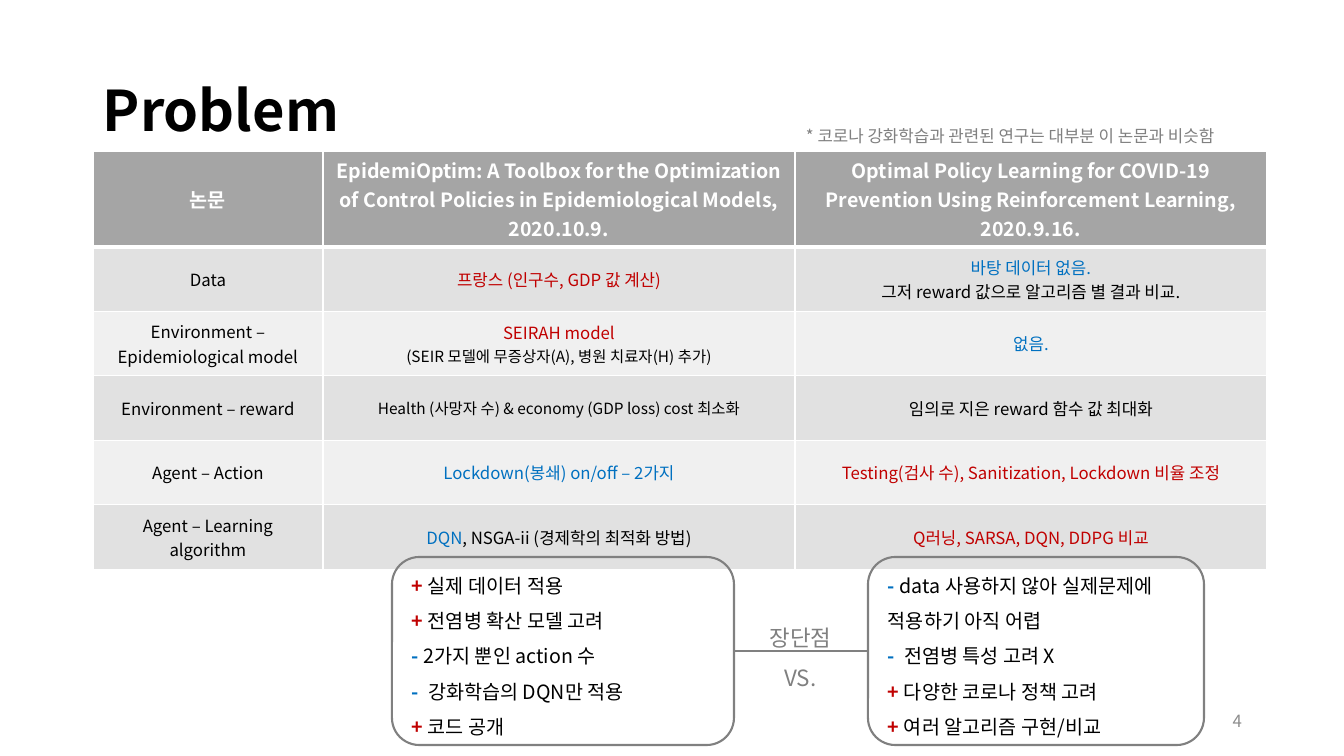
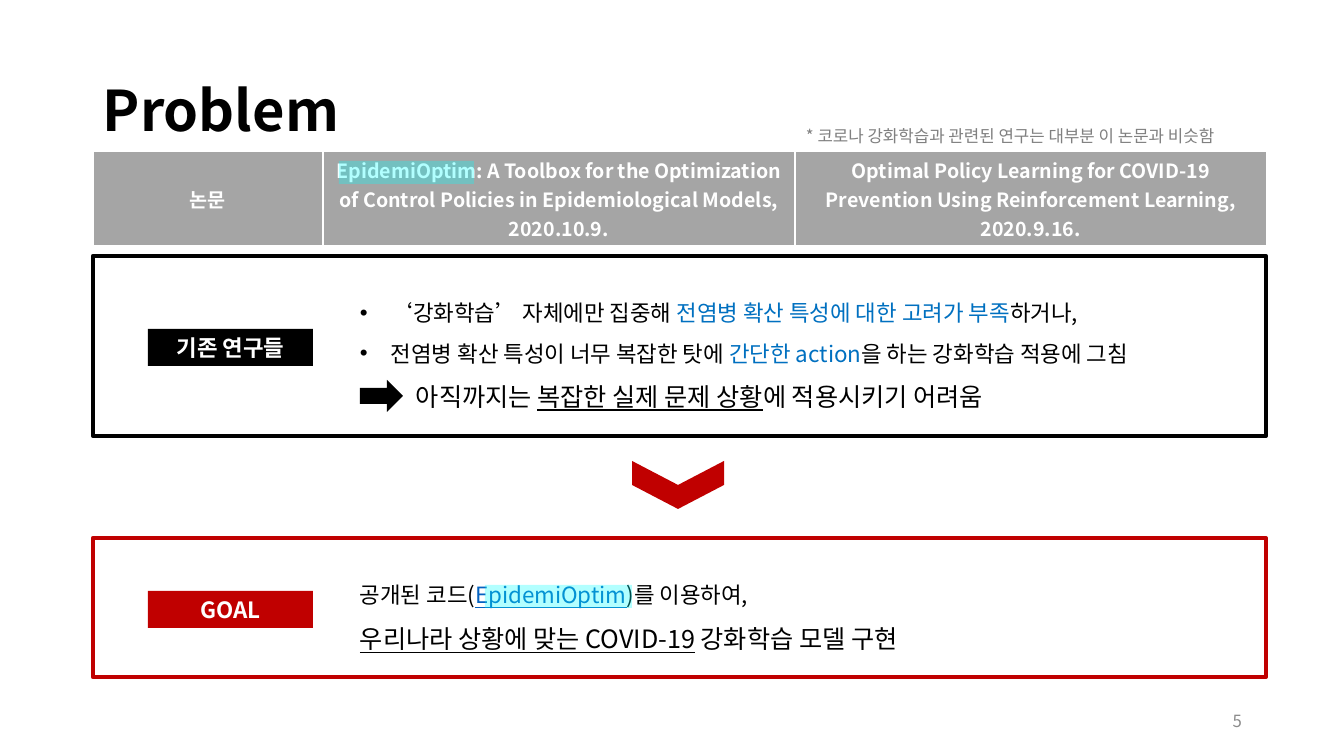
from lxml.etree import SubElement
from pptx import Presentation
from pptx.dml.color import RGBColor
from pptx.enum.shapes import MSO_CONNECTOR, MSO_SHAPE as SHAPE
from pptx.enum.text import MSO_ANCHOR as ANCHOR, MSO_AUTO_SIZE as AUTO, PP_ALIGN as ALIGN
from pptx.oxml import parse_xml
from pptx.oxml.ns import nsdecls, qn
from pptx.util import Pt

SLIDE_W, SLIDE_H = 1344, 756
EMU_PER_PX = 12192000 / SLIDE_W
FONT = "Noto Sans CJK KR"
COLORS = {
    "black": "000000", "white": "FFFFFF", "red": "C00000", "blue": "0070C0",
    "gray": "808080", "page": "8C8C8C", "header": "A5A5A5", "dark_band": "E1E1E1",
    "light_band": "F0F0F0", "link": "0563C1", "marker": "00FFFF",
}
STYLES = {
    "plain": {},
    "red": {"color": "red"},
    "blue": {"color": "blue"},
    "plus": {"color": "red", "bold": True},
    "minus": {"color": "blue", "bold": True},
    "small": {"size": 11},
    "large": {"size": 18},
    "under": {"size": 18, "underline": True},
    "link": {"color": "link", "underline": True},
}

TITLE = "Problem"
REMARK = "* 코로나 강화학습과 관련된 연구는 대부분 이 논문과 비슷함"
PAPERS = (
    "논문",
    "EpidemiOptim: A Toolbox for the Optimization of Control Policies in Epidemiological Models, 2020.10.9.",
    "Optimal Policy Learning for COVID-19 Prevention Using Reinforcement Learning, 2020.9.16.",
)
COMPARISON = [
    ([["Data"]],
     [[("프랑스 (인구수, GDP 값 계산)", "red")]],
     [[("바탕 데이터 없음.", "blue")], ["그저 reward 값으로 알고리즘 별 결과 비교."]]),
    ([["Environment – Epidemiological model"]],
     [[("SEIRAH model", "red")], [("(SEIR 모델에 무증상자(A), 병원 치료자(H) 추가)", "small")]],
     [[("없음.", "blue")]]),
    ([["Environment – reward"]],
     [[("Health (사망자 수) & economy (GDP loss) cost 최소화", "small")]],
     [["임의로 지은 reward 함수 값 최대화"]]),
    ([["Agent – Action"]],
     [[("Lockdown(봉쇄) on/off – 2가지", "blue")]],
     [[("Testing(검사 수), Sanitization, Lockdown 비율 조정", "red")]]),
    ([["Agent – Learning algorithm"]],
     [[("DQN", "blue"), ", NSGA-ii (경제학의 최적화 방법)"]],
     [[("Q러닝, SARSA, DQN, DDPG 비교", "red")]]),
]
VERDICTS = [
    ((392, 557, 342, 188), [
        [("+ ", "plus"), "실제 데이터 적용"],
        [("+ ", "plus"), "전염병 확산 모델 고려"],
        [("-", "minus"), " 2가지 뿐인 action 수"],
        [("-  ", "minus"), "강화학습의 DQN만 적용"],
        [("+ ", "plus"), "코드 공개"],
    ]),
    ((868, 557, 336, 188), [
        [("- ", "minus"), "data 사용하지 않아 실제문제에 적용하기 아직 어렵"],
        [("-  ", "minus"), "전염병 특성 고려 X"],
        [("+ ", "plus"), "다양한 코로나 정책 고려"],
        [("+ ", "plus"), "여러 알고리즘 구현/비교"],
    ]),
]
VERSUS = [["장단점"], ["VS."]]
LIMITS = [
    ["‘강화학습’ 자체에만 집중해 ", ("전염병 확산 특성에 대한 고려가 부족", "blue"), "하거나,"],
    ["전염병 확산 특성이 너무 복잡한 탓에 ", ("간단한 action", "blue"), "을 하는 강화학습 적용에 그침"],
]
CONCLUSION = [[("아직까지는 ", "large"), ("복잡한 실제 문제 상황", "under"), ("에 적용시키기 어려움", "large")]]
GOAL = [
    ["공개된 코드(", ("EpidemiOptim", "link"), ")를 이용하여,"],
    [("우리나라 상황에 맞는 COVID-19", "under"), (" 강화학습 모델 구현", "large")],
]
PANELS = [
    ("기존 연구들", "black", (93, 256, 1173, 180), 329),
    ("GOAL", "red", (93, 538, 1173, 139), 591),
]
MARKERS = [(339, 161, 135, 23), (485, 585, 147, 23)]

COLUMNS = (230, 472, 472)
HEADER_H, ROW_H = 81, 64.5
TABLE_LEFT, TABLE_TOP = 93, 151
VERDICT_INSET = 10


def px(length):
    return round(length * EMU_PER_PX)


def box(*lengths):
    return [px(length) for length in lengths]


def rgb(name):
    return RGBColor.from_string(COLORS[name])


def write(frame, paragraphs, size, color="black", bold=False, align=ALIGN.LEFT, spacing=None, bullet=None):
    frame.word_wrap = True
    for index, runs in enumerate(paragraphs):
        paragraph = frame.paragraphs[0] if index == 0 else frame.add_paragraph()
        paragraph.alignment = align
        if spacing:
            paragraph.line_spacing = spacing
        if bullet:
            props = paragraph._p.get_or_add_pPr()
            props.set("marL", str(px(31)))
            props.set("indent", str(-px(31)))
            SubElement(props, qn("a:buFont"), typeface="Arial")
            SubElement(props, qn("a:buChar"), char=bullet)
        for piece in runs:
            text, style = (piece, "plain") if isinstance(piece, str) else piece
            look = {"size": size, "color": color, "bold": bold, "underline": False, **STYLES[style]}
            run = paragraph.add_run()
            run.text = text
            run.font.color.rgb = rgb(look["color"])
            values = {"name": FONT, "size": Pt(look["size"]), "bold": look["bold"], "underline": look["underline"]}
            for name, value in values.items():
                setattr(run.font, name, value)
            SubElement(run._r.get_or_add_rPr(), qn("a:ea"), typeface=FONT)


def add_text(slide, place, paragraphs, size, anchor=ANCHOR.TOP, grow=True, **look):
    frame = slide.shapes.add_textbox(*box(*place)).text_frame
    frame.auto_size = AUTO.SHAPE_TO_FIT_TEXT if grow else AUTO.NONE
    frame.vertical_anchor = anchor
    write(frame, paragraphs, size, **look)


def add_figure(slide, kind, place, fill=None, line=None, width=1):
    figure = slide.shapes.add_shape(kind, *box(*place))
    figure.shadow.inherit = False
    if fill:
        figure.fill.solid()
        figure.fill.fore_color.rgb = rgb(fill)
    else:
        figure.fill.background()
    if line:
        figure.line.color.rgb = rgb(line)
        figure.line.width = Pt(width)
    else:
        figure.line.fill.background()
    return figure


def style_cell(cell, fill, bottom):
    cell.fill.solid()
    cell.fill.fore_color.rgb = rgb(fill)
    cell.vertical_anchor = ANCHOR.MIDDLE
    for index, (side, points) in enumerate({"L": 1, "R": 1, "T": 1, "B": bottom}.items()):
        cell._tc.get_or_add_tcPr().insert(index, parse_xml(
            f'<a:ln{side} {nsdecls("a")} w="{Pt(points)}"><a:solidFill>'
            f'<a:srgbClr val="{COLORS["white"]}"/></a:solidFill></a:ln{side}>'))


def add_papers(slide, body=()):
    heights = [HEADER_H] + [ROW_H] * len(body)
    place = box(TABLE_LEFT, TABLE_TOP, sum(COLUMNS), sum(heights))
    table = slide.shapes.add_table(len(heights), len(COLUMNS), *place).table
    table.horz_banding = False
    for column, width in zip(table.columns, COLUMNS):
        column.width = px(width)
    for row, height in zip(table.rows, heights):
        row.height = px(height)
    for column, paper in enumerate(PAPERS):
        cell = table.cell(0, column)
        style_cell(cell, "header", 3)
        write(cell.text_frame, [[paper]], 14, "white", True, ALIGN.CENTER)
    for row, entries in enumerate(body, 1):
        for column, paragraphs in enumerate(entries):
            cell = table.cell(row, column)
            style_cell(cell, "dark_band" if row % 2 else "light_band", 1)
            write(cell.text_frame, paragraphs, 12, align=ALIGN.CENTER)


def start_slide(deck, number, body=()):
    slide = deck.slides.add_slide(deck.slide_layouts[6])
    add_text(slide, (93, 40, 1159, 146), [[TITLE]], 40, ANCHOR.MIDDLE, False, bold=True, spacing=0.9)
    add_papers(slide, body)
    add_text(slide, (796, 121, 527, 30), [[REMARK]], 12, color="gray")
    add_text(slide, (950, 701, 302, 40), [[str(number)]], 12, ANCHOR.MIDDLE, False,
             color="page", align=ALIGN.RIGHT)
    return slide


def build_comparison(deck):
    slide = start_slide(deck, 4, COMPARISON)
    frames = []
    for (left, top, width, height), points in VERDICTS:
        frame = add_figure(slide, SHAPE.ROUNDED_RECTANGLE, (left, top, width, height), line="gray", width=1.5)
        frame.adjustments[0] = 0.145
        frames.append(frame)
        inner = (left + VERDICT_INSET, top, width - 2 * VERDICT_INSET, height)
        add_text(slide, inner, points, 14, spacing=1.5)
    add_text(slide, (748, 605, 105, 92), VERSUS, 16, ANCHOR.MIDDLE,
             color="gray", align=ALIGN.CENTER, spacing=1.5)
    link = slide.shapes.add_connector(MSO_CONNECTOR.STRAIGHT, *box(734, 651, 868, 651))
    link.begin_connect(frames[0], 3)
    link.end_connect(frames[1], 1)
    link.line.color.rgb = rgb("gray")
    link.line.width = Pt(1)
    SubElement(link._element.spPr, qn("a:effectLst"))


def build_goal(deck):
    slide = start_slide(deck, 5)
    for label, color, outline, label_top in PANELS:
        add_figure(slide, SHAPE.RECTANGLE, outline, line=color, width=3)
        tag = add_figure(slide, SHAPE.RECTANGLE, (148, label_top, 165, 37), fill=color)
        tag.text_frame.vertical_anchor = ANCHOR.TOP
        write(tag.text_frame, [[label]], 16, "white", True, ALIGN.CENTER)
    add_text(slide, (350, 281, 901, 92), LIMITS, 16, spacing=1.5, bullet="•")
    add_figure(slide, SHAPE.RIGHT_ARROW, (360, 380, 43, 32), fill="black")
    add_text(slide, (406, 376, 827, 40), CONCLUSION, 18)
    add_figure(slide, SHAPE.CHEVRON, (654, 439, 48, 92), fill="red").rotation = 90
    add_text(slide, (350, 563, 901, 97), GOAL, 16, spacing=1.5)
    for place in MARKERS:
        marker = add_figure(slide, SHAPE.RECTANGLE, place, fill="marker")
        tint = marker._element.spPr.find(qn("a:solidFill")).find(qn("a:srgbClr"))
        SubElement(tint, qn("a:alpha"), val="30000")


def main():
    deck = Presentation()
    deck.slide_width, deck.slide_height = box(SLIDE_W, SLIDE_H)
    build_comparison(deck)
    build_goal(deck)
    deck.save("out.pptx")


if __name__ == "__main__":
    main()
